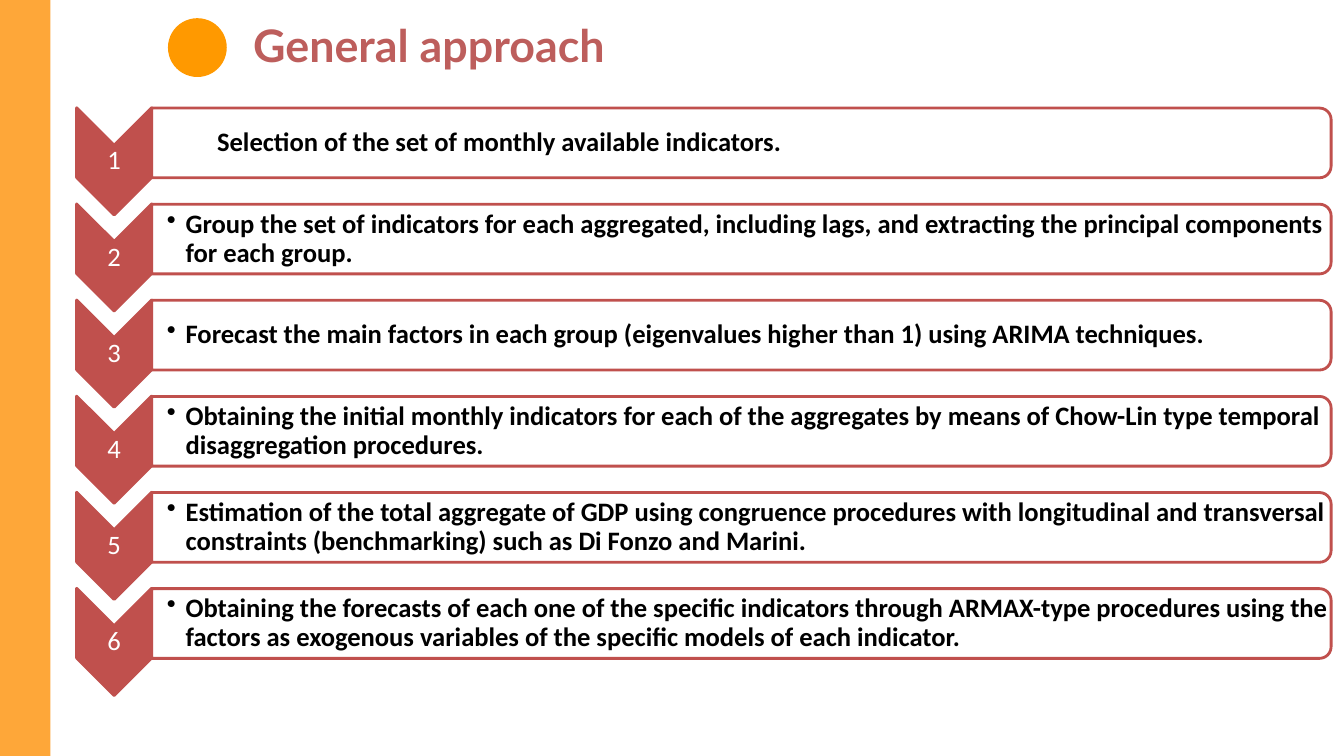
from lxml import etree
from pptx import Presentation
from pptx.dml import color
from pptx.enum import shapes, text
from pptx.oxml import ns
from pptx.util import Pt

RED = "C0504D"
WHITE = "FFFFFF"
STEP_PITCH = 68.65
STEPS = [
    "Selection of the set of monthly available indicators.",
    "Group the set of indicators for each aggregated, including lags, and extracting "
    "the principal components for each group.",
    "Forecast the main factors in each group (eigenvalues higher than 1) using ARIMA techniques.",
    "Obtaining the initial monthly indicators for each of the aggregates by means of "
    "Chow-Lin type temporal disaggregation procedures.",
    "Estimation of the total aggregate of GDP using congruence procedures with longitudinal "
    "and transversal constraints (benchmarking) such as Di Fonzo and Marini.",
    "Obtaining the forecasts of each one of the specific indicators through ARMAX-type procedures "
    "using the factors as exogenous variables of the specific models of each indicator.",
]


def rgb(value):
    return color.RGBColor.from_string(value)


def apply(target, values):
    for name, value in values.items():
        setattr(target, name, value)


def add_figure(slide, kind, box, fill, outline=None, rotation=0):
    figure = slide.shapes.add_shape(kind, *map(Pt, box))
    figure.shadow.inherit = False
    figure.rotation = rotation
    figure.fill.solid()
    figure.fill.fore_color.rgb = rgb(fill)
    if outline:
        figure.line.color.rgb = rgb(outline)
        figure.line.width = Pt(2)
    else:
        figure.line.fill.background()
    return figure


def add_label(slide, box, words, ink, frame_format, font_format, paragraph_format):
    frame = slide.shapes.add_textbox(*map(Pt, box)).text_frame
    apply(frame, {"word_wrap": True, **frame_format})
    paragraph = frame.paragraphs[0]
    apply(paragraph, paragraph_format)
    run = paragraph.add_run()
    run.text = words
    apply(run.font, font_format)
    run.font.color.rgb = rgb(ink)
    return paragraph


def tight_frame(left=0.7):
    return {
        "vertical_anchor": text.MSO_ANCHOR.MIDDLE,
        "margin_left": Pt(left),
        "margin_top": Pt(0.7),
        "margin_right": Pt(0.7),
        "margin_bottom": Pt(0.7),
    }


def add_bullet(paragraph):
    properties = paragraph._p.get_or_add_pPr()
    properties.set("marL", str(Pt(13.5)))
    properties.set("indent", str(-Pt(13.5)))
    etree.SubElement(properties, ns.qn("a:buChar")).set("char", "•")


def set_opacity(figure, percent):
    tint = figure.fill._xPr.find(ns.qn("a:solidFill"))[0]
    etree.SubElement(tint, ns.qn("a:alpha")).set("val", str(percent * 1000))


def add_step(slide, index, words):
    offset = index * STEP_PITCH
    kinds = shapes.MSO_SHAPE
    add_figure(slide, kinds.CHEVRON, (43.2, 88.5 + offset, 76.6, 53.6), RED, RED, 90)
    add_label(
        slide, (54.7, 103.7 + offset, 53.6, 23), str(index + 1), WHITE, tight_frame(),
        {"name": "Calibri", "size": Pt(19)},
        {"alignment": text.PP_ALIGN.CENTER, "line_spacing": 0.9},
    )
    panel = add_figure(
        slide, kinds.ROUND_2_SAME_RECTANGLE, (504.7, -319.1 + offset, 49.8, 842.4), WHITE, RED, 90
    )
    set_opacity(panel, 90)
    sentence = add_label(
        slide, (108.3, 79.7 + offset, 841, 45), words, "000000", tight_frame(10.8),
        {"name": "Calibri", "size": Pt(19), "bold": True},
        {"level": 1, "line_spacing": 0.9},
    )
    if index:
        add_bullet(sentence)


def main():
    deck = Presentation()
    apply(deck, {"slide_width": Pt(960), "slide_height": Pt(540)})
    slide = deck.slides.add_slide(deck.slide_layouts[6])
    add_figure(slide, shapes.MSO_SHAPE.RECTANGLE, (0, 0, 36, 540), "FEA739")
    add_figure(slide, shapes.MSO_SHAPE.OVAL, (120, 13, 42, 42), "FF9900")
    add_label(
        slide, (173.7, 9.4, 666, 46), "General approach", "BD5E5C", {},
        {"name": "Lato", "size": Pt(32), "bold": True}, {},
    )
    for index, words in enumerate(STEPS):
        add_step(slide, index, words)
    deck.save("out.pptx")


if __name__ == "__main__":
    main()
